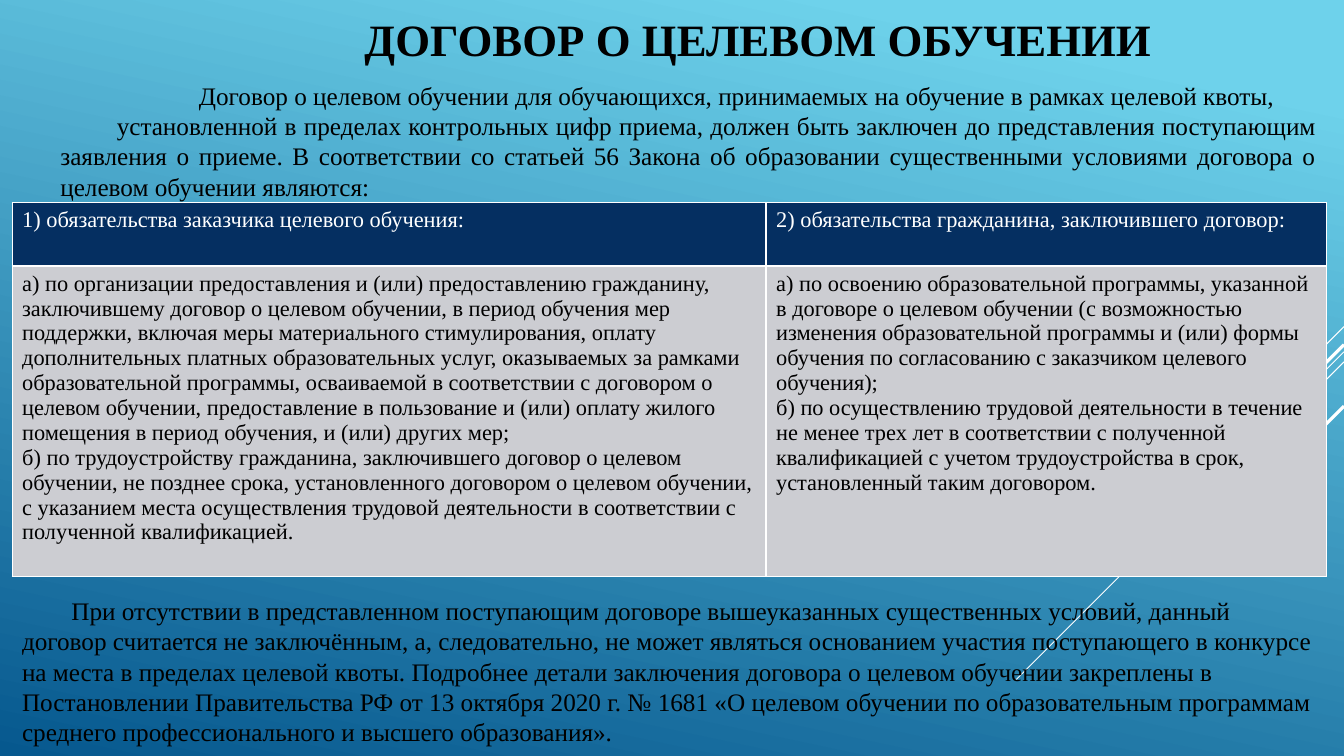
import dataclasses
import pptx
import pptx.dml.color
import pptx.enum.shapes
import pptx.enum.text
import pptx.oxml
import pptx.oxml.ns
import pptx.util

INK = {"sky": "6ED2EB", "deep": "06588E", "navy": "052F61",
       "pale": "CCCDD2", "white": "FFFFFF", "black": "000000"}
FONT = "Times New Roman"
WIDE = pptx.util.Inches(13.33)
HIGH = pptx.util.Inches(7.5)
COLS, ROWS = 160, 90
ALIGN = pptx.enum.text.PP_ALIGN


@dataclasses.dataclass
class Box:
    left: float
    top: float
    wide: float
    high: float


@dataclasses.dataclass
class Ray:
    top: float
    run: float
    thick: float


@dataclasses.dataclass
class Para:
    text: str
    size: int = 18
    ink: str = "black"
    bold: bool = False
    align: ALIGN = ALIGN.LEFT
    left: float = 0
    first: float = 0


@dataclasses.dataclass
class Cell:
    paras: list[Para]
    fill: str


EDGE, SPAN = 1.44, 156.48
TITLE = Box(29.76, 0, 120.96, 9.12)
INTRO = Box(EDGE, 8.95, SPAN, 15.17)
TABLE = Box(EDGE, 24.12, SPAN, 44.52)
CLOSE = Box(EDGE, 70.3, SPAN, 19.7)
WIDTHS = [89.76, 66.72]
HEIGHTS = [7.56, 36.96]

RAYS = [Ray(38.88, 12, 0.75), Ray(41.88, 39.12, 0.75), Ray(43.08, 24.84, 0.75),
        Ray(41.04, 22.92, 2.25), Ray(48.36, 16.68, 2.25)]

HEAD = Para("ДОГОВОР О ЦЕЛЕВОМ ОБУЧЕНИИ", 32, bold=True, align=ALIGN.CENTER)
LEAD = [
    Para("Договор о целевом обучении для обучающихся, принимаемых на обучение в рамках целевой квоты,",
         align=ALIGN.JUSTIFY, left=4.56, first=16.5),
    Para("установленной в пределах контрольных цифр приема, должен быть заключен до представления "
         "поступающим заявления о приеме. В соответствии со статьей 56 Закона об образовании "
         "существенными условиями договора о целевом обучении являются:",
         align=ALIGN.JUSTIFY, left=4.56, first=6.72),
]
LAST = [
    Para("При отсутствии в представленном поступающим договоре вышеуказанных существенных условий, "
         "данный договор считается не заключённым, а, следовательно, не может являться основанием "
         "участия поступающего в конкурсе на места в пределах целевой квоты. Подробнее детали "
         "заключения договора о целевом обучении закреплены в Постановлении Правительства РФ от "
         "13 октября 2020 г. № 1681 «О целевом обучении по образовательным программам среднего "
         "профессионального и высшего образования».", first=5.88),
]
DUTIES = [
    ["1) обязательства заказчика целевого обучения:"],
    ["2) обязательства гражданина, заключившего договор:"],
    ["а) по организации предоставления и (или) предоставлению гражданину, заключившему договор о "
     "целевом обучении, в период обучения мер поддержки, включая меры материального "
     "стимулирования, оплату дополнительных платных образовательных услуг, оказываемых за рамками "
     "образовательной программы, осваиваемой в соответствии с договором о целевом обучении, "
     "предоставление в пользование и (или) оплату жилого помещения в период обучения, и (или) "
     "других мер;",
     "б) по трудоустройству гражданина, заключившего договор о целевом обучении, не позднее срока, "
     "установленного договором о целевом обучении, с указанием места осуществления трудовой "
     "деятельности в соответствии с полученной квалификацией."],
    ["а) по освоению образовательной программы, указанной в договоре о целевом обучении (с "
     "возможностью изменения образовательной программы и (или) формы обучения по согласованию с "
     "заказчиком целевого обучения);",
     "б) по осуществлению трудовой деятельности в течение не менее трех лет в соответствии с "
     "полученной квалификацией с учетом трудоустройства в срок, установленный таким договором."],
]


def hue(name: str) -> pptx.dml.color.RGBColor:
    return pptx.dml.color.RGBColor.from_string(INK[name])


def col(count: float) -> int:
    return round(WIDE * count / COLS)


def row(count: float) -> int:
    return round(HIGH * count / ROWS)


def frame(box: Box) -> tuple[int, int, int, int]:
    return col(box.left), row(box.top), col(box.wide), row(box.high)


def write(body, paras: list[Para]) -> None:
    body.word_wrap = True
    for place, para in enumerate(paras):
        line = body.add_paragraph() if place else body.paragraphs[0]
        line.alignment = para.align
        line.line_spacing = 1.0
        line.space_before = line.space_after = pptx.util.Pt(0)
        props = line._p.get_or_add_pPr()
        props.set("marL", str(col(para.left)))
        props.set("indent", str(col(para.first)))
        run = line.add_run()
        run.text = para.text
        run.font.name = FONT
        run.font.size = pptx.util.Pt(para.size)
        run.font.bold = para.bold
        run.font.color.rgb = hue(para.ink)


def paint(slide) -> None:
    fill = slide.background.fill
    fill.gradient()
    fill.gradient_angle = 258
    for stop, spot, name in zip(fill.gradient_stops, (0.1, 1), ("sky", "deep")):
        stop.position = spot
        stop.color.rgb = hue(name)


def draw_ray(slide, ray: Ray) -> None:
    line = slide.shapes.add_connector(
        pptx.enum.shapes.MSO_CONNECTOR.STRAIGHT,
        col(COLS), row(ray.top), col(COLS - ray.run), row(ray.top + ray.run))
    line.line.color.rgb = hue("white")
    line.line.width = pptx.util.Pt(ray.thick)
    line._element.spPr.append(pptx.oxml.parse_xml(
        f'<a:effectLst {pptx.oxml.ns.nsdecls("a")}/>'))


def draw_text(slide, box: Box, paras: list[Para]) -> None:
    write(slide.shapes.add_textbox(*frame(box)).text_frame, paras)


def draw_cell(spot, cell: Cell) -> None:
    props = spot._tc.get_or_add_tcPr()
    for side in "LRTB":
        props.append(pptx.oxml.parse_xml(
            f'<a:ln{side} {pptx.oxml.ns.nsdecls("a")} w="{pptx.util.Pt(1)}"><a:solidFill>'
            f'<a:srgbClr val="{INK["white"]}"/></a:solidFill></a:ln{side}>'))
    spot.fill.solid()
    spot.fill.fore_color.rgb = hue(cell.fill)
    write(spot.text_frame, cell.paras)


def draw_table(slide, cells: list[Cell]) -> None:
    grid = slide.shapes.add_table(len(HEIGHTS), len(WIDTHS), *frame(TABLE)).table
    grid.first_row = grid.horz_banding = False
    for part, wide in zip(grid.columns, WIDTHS):
        part.width = col(wide)
    for part, high in zip(grid.rows, HEIGHTS):
        part.height = row(high)
    for spot, cell in zip(grid.iter_cells(), cells):
        draw_cell(spot, cell)


def main() -> None:
    deck = pptx.Presentation()
    deck.slide_width, deck.slide_height = WIDE, HIGH
    slide = deck.slides.add_slide(deck.slide_layouts[5])
    paint(slide)
    for ray in RAYS:
        draw_ray(slide, ray)
    title = slide.shapes.title
    title.left, title.top, title.width, title.height = frame(TITLE)
    title.text_frame.vertical_anchor = pptx.enum.text.MSO_ANCHOR.MIDDLE
    write(title.text_frame, [HEAD])
    draw_text(slide, INTRO, LEAD)
    draw_text(slide, CLOSE, LAST)
    looks = [("navy", "white")] * 2 + [("pale", "black")] * 2
    draw_table(slide, [Cell([Para(text, 16, ink) for text in texts], fill)
                       for texts, (fill, ink) in zip(DUTIES, looks)])
    deck.save("out.pptx")


if __name__ == "__main__":
    main()
